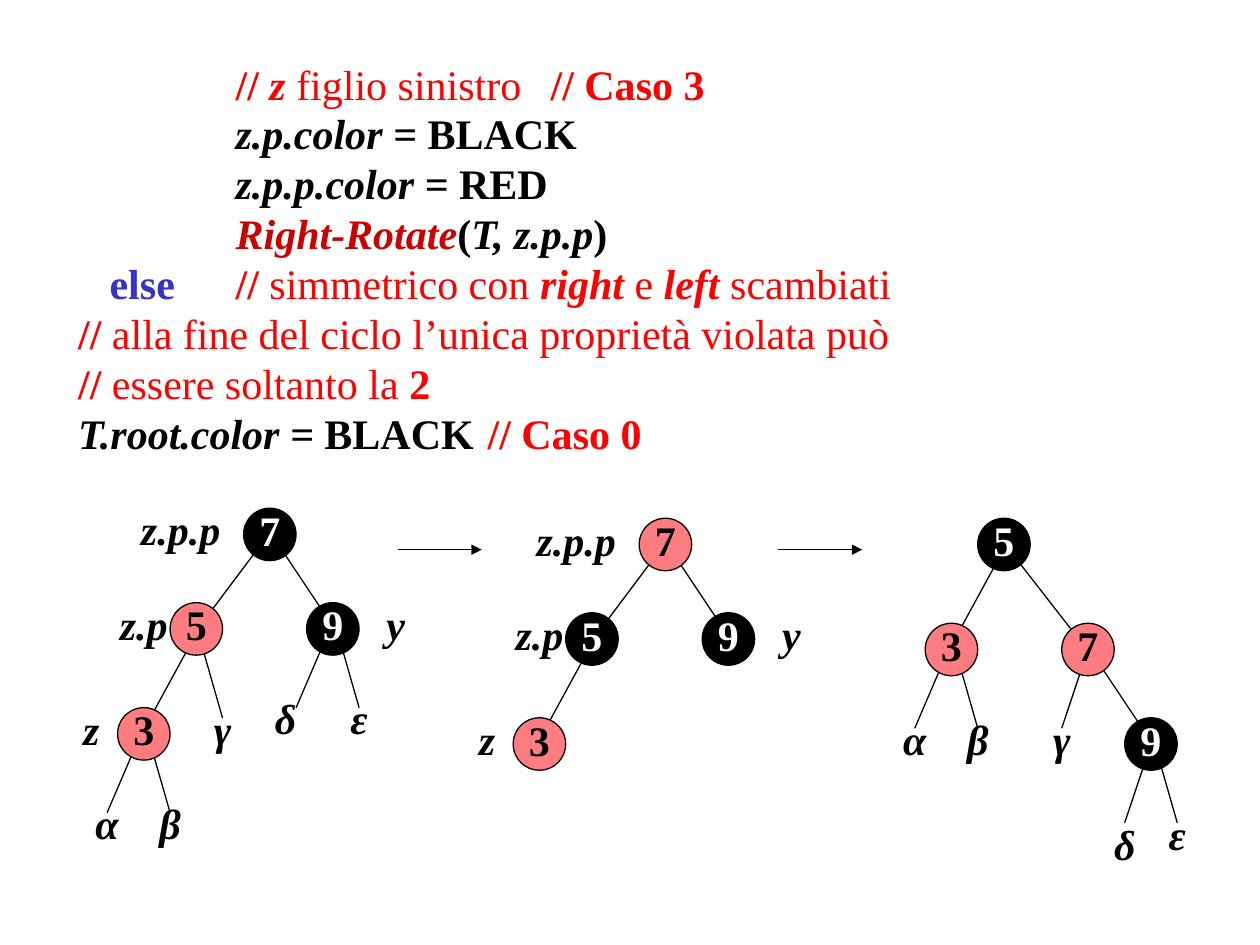
"""Build the red-black insertion slide: case 3 code above three tree stages."""
from pptx import Presentation, util as u
from pptx.dml.color import RGBColor
from pptx.enum import shapes, text
from pptx.oxml.ns import qn
from lxml import etree

look = dict(font="Times New Roman", size=24, thin=0.75, black="000000", white="FFFFFF",
            red="FF0000", dark="CC0000", blue="3333CC", pink="FF7C80")

deck = Presentation()
deck.slide_width, deck.slide_height = u.Inches(10), u.Inches(7.5)
unit = u.Inches(1) / 12
slide = deck.slides.add_slide(deck.slide_layouts[1])
title, body = slide.placeholders
title._element.getparent().remove(title._element)


def write(para, words, hue, style):
    """Add one run in the theme's type."""
    run = para.add_run()
    run.text = words
    form = dict(name=look["font"], size=u.Pt(look["size"]), bold="b" in style, italic="i" in style)
    for key, val in form.items():
        setattr(run.font, key, val)
    run.font.color.rgb = RGBColor.from_string(look[hue])


def label(shape, words, hue, style, lead):
    """Centre one short text in a shape."""
    frame = shape.text_frame
    for key, val in dict(word_wrap=False, vertical_anchor=text.MSO_ANCHOR.MIDDLE).items():
        setattr(frame, key, val)
    para = frame.paragraphs[0]
    para.alignment, para.line_spacing = text.PP_ALIGN.CENTER, lead
    write(para, words, hue, style)


code = [
    (18, 64.25, [("// ", "red", "b"), ("z ", "red", "bi"), ("figlio sinistro", "red", ""),
                 ("\t// Caso 3", "red", "b")]),
    (18, 0, [("z.p.color = ", "black", "bi"), ("BLACK", "black", "b")]),
    (18, 0, [("z.p.p.color = ", "black", "bi"), ("RED", "black", "b")]),
    (18, 0, [("Right-Rotate", "dark", "bi"), ("(", "black", "b"), ("T, z.p.p", "black", "bi"),
             (")", "black", "b")]),
    (6, 16.25, [("else", "blue", "b"), ("\t// ", "red", "b"), ("simmetrico con ", "red", ""),
                ("right ", "red", "bi"), ("e ", "red", ""), ("left ", "red", "bi"),
                ("scambiati", "red", "")]),
    (3, 0, [("// ", "red", "b"), ("alla fine del ciclo l’unica proprietà violata può", "red", "")]),
    (3, 0, [("// ", "red", "b"), ("essere soltanto la ", "red", ""), ("2", "red", "b")]),
    (3, 66.75, [("T.root.color =", "black", "bi"), (" BLACK", "black", "b"),
                ("\t// Caso 0", "red", "b")]),
]

for key, val in dict(left=0.27, top=0.44, width=9.41, height=3.14).items():
    setattr(body, key, u.Inches(val))
frame = body.text_frame
frame.word_wrap, frame.auto_size = True, text.MSO_AUTO_SIZE.SHAPE_TO_FIT_TEXT
for row, (inset, stop, runs) in enumerate(code):
    para = frame.add_paragraph() if row else frame.paragraphs[0]
    para.line_spacing, para.space_before = 0.95, u.Pt(1.15)
    props = para._p.get_or_add_pPr()
    props.set("marL", "0")
    props.set("indent", str(int(inset * unit)))
    etree.SubElement(props, qn("a:buNone"))
    if stop:
        tabs = etree.SubElement(props, qn("a:tabLst"))
        etree.SubElement(tabs, qn("a:tab"), pos=str(int(stop * unit)), algn="l")
    for run in runs:
        write(para, *run)

arrow = (-1, 4, 7, 4)
trunk = [(24, 4, 18, 12), (18, 12, 12, 23), (25, 4, 31, 13)]
marks = [("z.p.p", 16, 3, 10), ("y", 36.5, 12, 7), ("z", 7.5, 22, 7), ("z.p ", 12.5, 12, 7)]
spots = {"5": (15, 10), "9": (28, 10), "3": (10, 20), "7": (22, 1)}
trees = [
    dict(at=(0.1, 3.95), dark="79", nodes=spots,
         lines=trunk + [(13, 23, 15, 30), (12, 23, 9, 30), (30, 13, 27, 20),
                        (31, 13, 33, 20), (18, 14, 20, 21)],
         marks=marks + [("α", 9, 31, 8), ("β", 15, 31, 8), ("γ", 20, 22, 8),
                        ("δ", 26, 21, 8), ("ε", 33, 21, 8)]),
    dict(at=(3.24, 4.03), dark="59", nodes=spots, lines=[arrow] + trunk, marks=marks),
    dict(at=(6.26, 4.03), dark="59",
         nodes={"5": (18, 1), "9": (32, 20), "3": (13, 11), "7": (26, 11)},
         lines=[arrow, (15, 14, 12, 21), (16, 14, 18, 21), (35, 23, 37, 30), (34, 24, 32, 30),
                (28, 15, 26, 21), (21, 4, 28, 13), (21, 3, 15, 14), (29, 14, 35, 23)],
         marks=[("α", 12, 22, 8), ("β", 18, 22, 8), ("γ", 26, 22, 8),
                ("δ", 32, 32, 8), ("ε", 37, 31, 8)]),
]

for tree in trees:
    left, top = (u.Inches(val) for val in tree["at"])
    for ends in tree["lines"]:
        spot = [int(base + val * unit) for base, val in zip((left, top) * 2, ends)]
        edge = slide.shapes.add_connector(shapes.MSO_CONNECTOR.STRAIGHT, *spot)
        edge.line.width = u.Pt(look["thin"])
        edge.line.color.rgb = RGBColor.from_string(look["black"])
        if ends == arrow:
            etree.SubElement(edge.line._get_or_add_ln(), qn("a:tailEnd"), type="triangle")
        etree.SubElement(edge._element.spPr, qn("a:effectLst"))
    for name, (col, row) in tree["nodes"].items():
        dark = name in tree["dark"]
        node = slide.shapes.add_shape(shapes.MSO_SHAPE.OVAL, int(left + col * unit),
                                      int(top + row * unit), int(5 * unit), int(5 * unit))
        node.shadow.inherit = False
        node.fill.solid()
        node.fill.fore_color.rgb = RGBColor.from_string(look["black" if dark else "pink"])
        node.line.color.rgb = RGBColor.from_string(look["black"])
        node.line.width = u.Pt(look["thin"])
        label(node, name, "white" if dark else "black", "b", 0.8)
    for name, mid, row, wide in tree["marks"]:
        box = slide.shapes.add_textbox(int(left + (mid - wide / 2) * unit),
                                       int(top + (row - 3) * unit), int(wide * unit), int(6 * unit))
        label(box, name, "black", "bi", 1.0)

deck.save("out.pptx")
